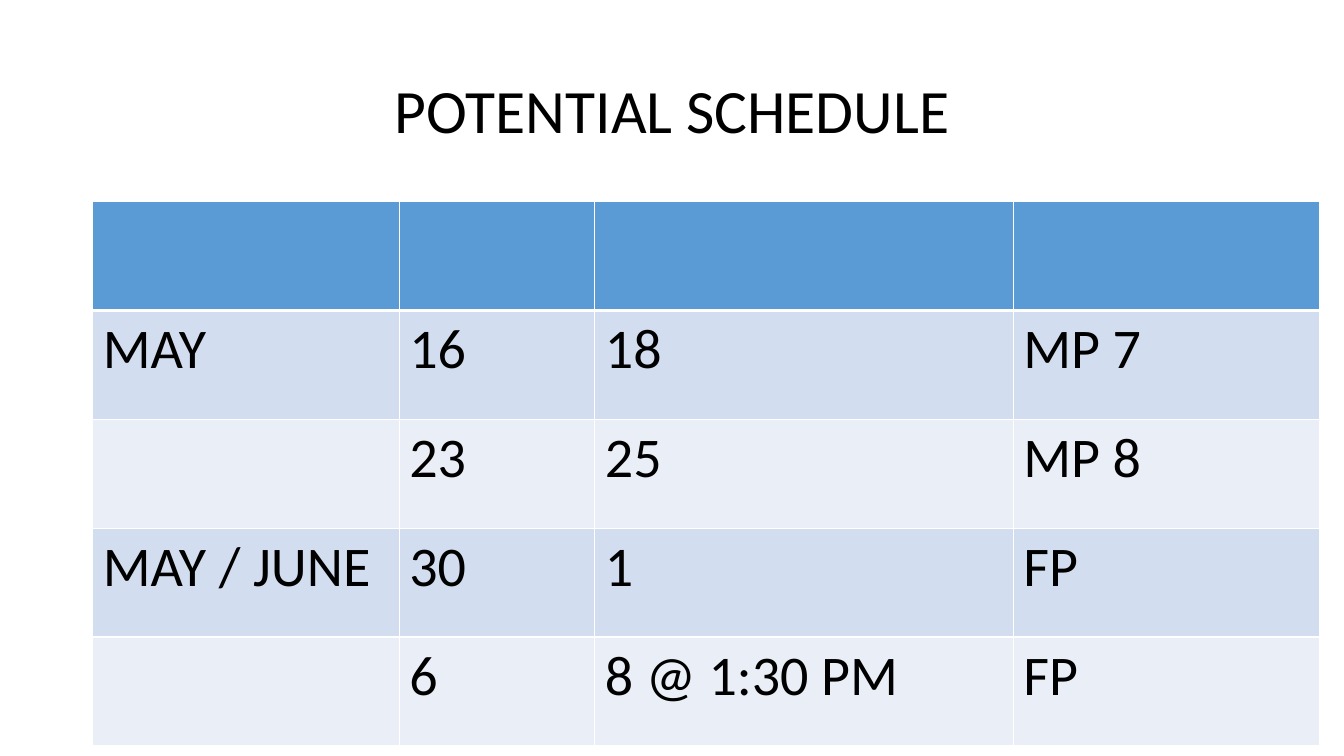
from lxml import etree
from pptx import Presentation
from pptx.dml.color import RGBColor
from pptx.enum.text import MSO_ANCHOR, PP_ALIGN
from pptx.oxml.ns import qn
from pptx.util import Inches, Pt

MIDDLE = MSO_ANCHOR.MIDDLE
CENTER = PP_ALIGN.CENTER

FONT = "Calibri"
BLACK, WHITE = "000000", "FFFFFF"
HEADER_FILL = "5B9BD5"
BAND_FILLS = ["D2DEEF", "EAEFF7"]
COLUMN_WIDTHS = [3.04, 1.94, 4.15, 3.04]
ROW_HEIGHT = 1.08
SCHEDULE = [
    ["", "", "", ""],
    ["MAY ", "16", "18", "MP 7"],
    ["", "23", "25", "MP 8"],
    ["MAY / JUNE", "30", "1", "FP"],
    ["", "6", "8 @ 1:30 PM", "FP"],
]


def rgb(value):
    """Turn a hex string into a colour."""
    return RGBColor.from_string(value)


def add_run(p, text, size):
    """Add one black run to a paragraph."""
    r = p.add_run()
    r.text = text
    r.font.name = FONT
    r.font.size = Pt(size)
    r.font.color.rgb = rgb(BLACK)


def add_title(s, text):
    """Add the centred slide title."""
    box = s.shapes.add_textbox(Inches(0.92), Inches(0.4), Inches(11.5), Inches(1.45))
    tf = box.text_frame
    tf.word_wrap = True
    tf.vertical_anchor = MIDDLE
    p = tf.paragraphs[0]
    p.alignment = CENTER
    p.line_spacing = 0.9
    add_run(p, text, 44)


def set_border(cell, side, width):
    """Draw one white cell border; side is L, R, T or B."""
    tc_pr = cell._tc.get_or_add_tcPr()
    ln = etree.SubElement(tc_pr, qn(f"a:ln{side}"), w=str(Pt(width)))
    fill = etree.SubElement(ln, qn("a:solidFill"))
    etree.SubElement(fill, qn("a:srgbClr"), val=WHITE)


def style_cell(cell, row):
    """Set the borders and the header or band fill of a cell."""
    widths = {"L": 1, "R": 1, "T": 3 if row == 1 else 1, "B": 3 if row == 0 else 1}
    for side, width in widths.items():
        set_border(cell, side, width)
    cell.fill.solid()
    fill = HEADER_FILL if row == 0 else BAND_FILLS[(row - 1) % 2]
    cell.fill.fore_color.rgb = rgb(fill)


def add_schedule(s, rows):
    """Add the schedule table with a header row and banded rows."""
    frame = s.shapes.add_table(
        len(rows), len(COLUMN_WIDTHS), Inches(0.92), Inches(2),
        Inches(sum(COLUMN_WIDTHS)), Inches(ROW_HEIGHT * len(rows)))
    table = frame.table
    for column, width in zip(table.columns, COLUMN_WIDTHS):
        column.width = Inches(width)
    for i, values in enumerate(rows):
        table.rows[i].height = Inches(ROW_HEIGHT)
        for j, text in enumerate(values):
            cell = table.cell(i, j)
            style_cell(cell, i)
            if text:
                add_run(cell.text_frame.paragraphs[0], text, 40)


def main():
    """Build the schedule slide and save it."""
    prs = Presentation()
    prs.slide_width = Inches(13.33)
    prs.slide_height = Inches(7.5)
    s = prs.slides.add_slide(prs.slide_layouts[6])
    add_title(s, "POTENTIAL SCHEDULE")
    add_schedule(s, SCHEDULE)
    prs.save("out.pptx")


main()
